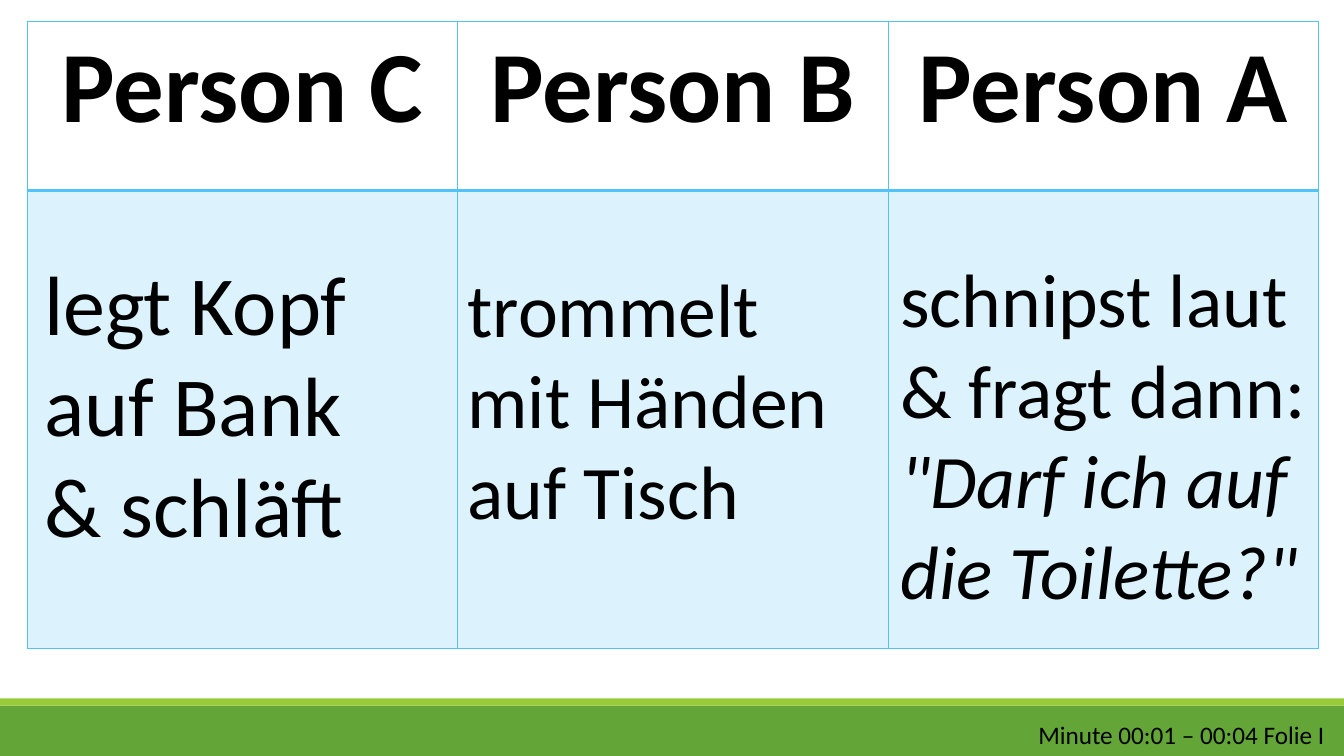
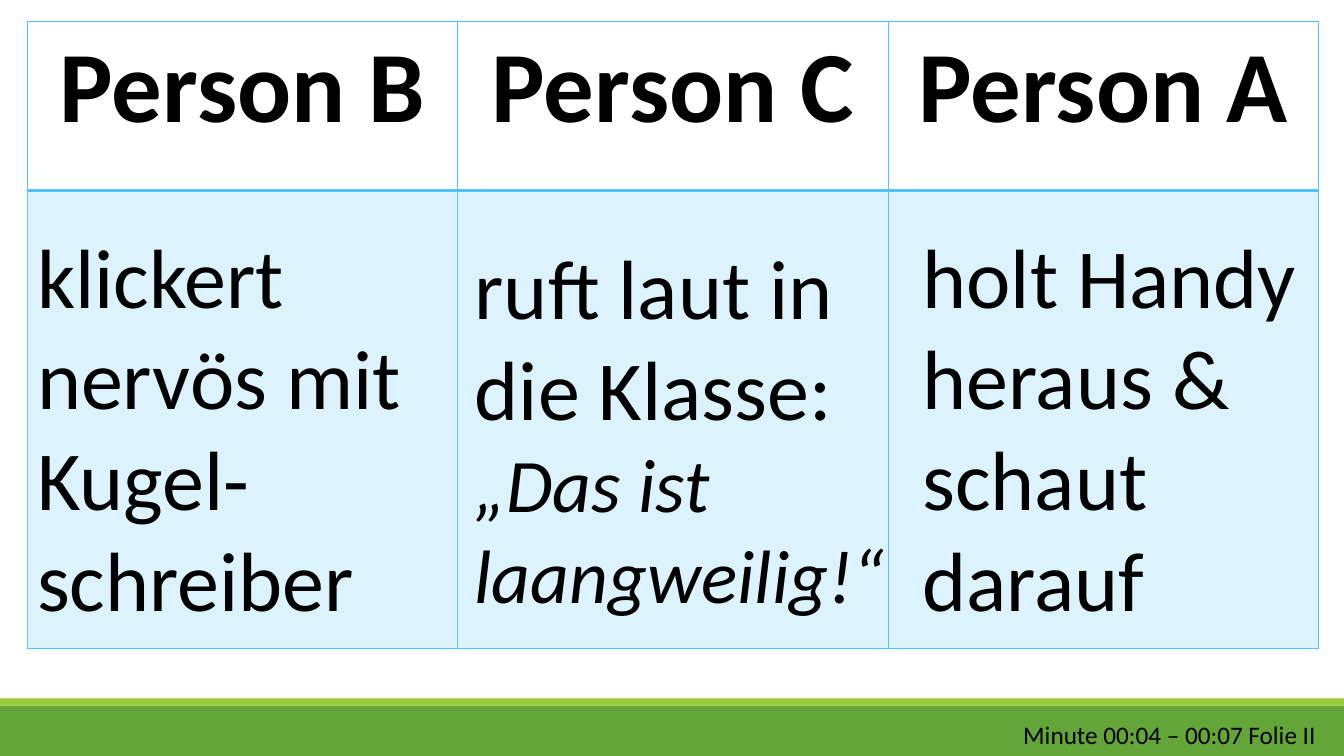
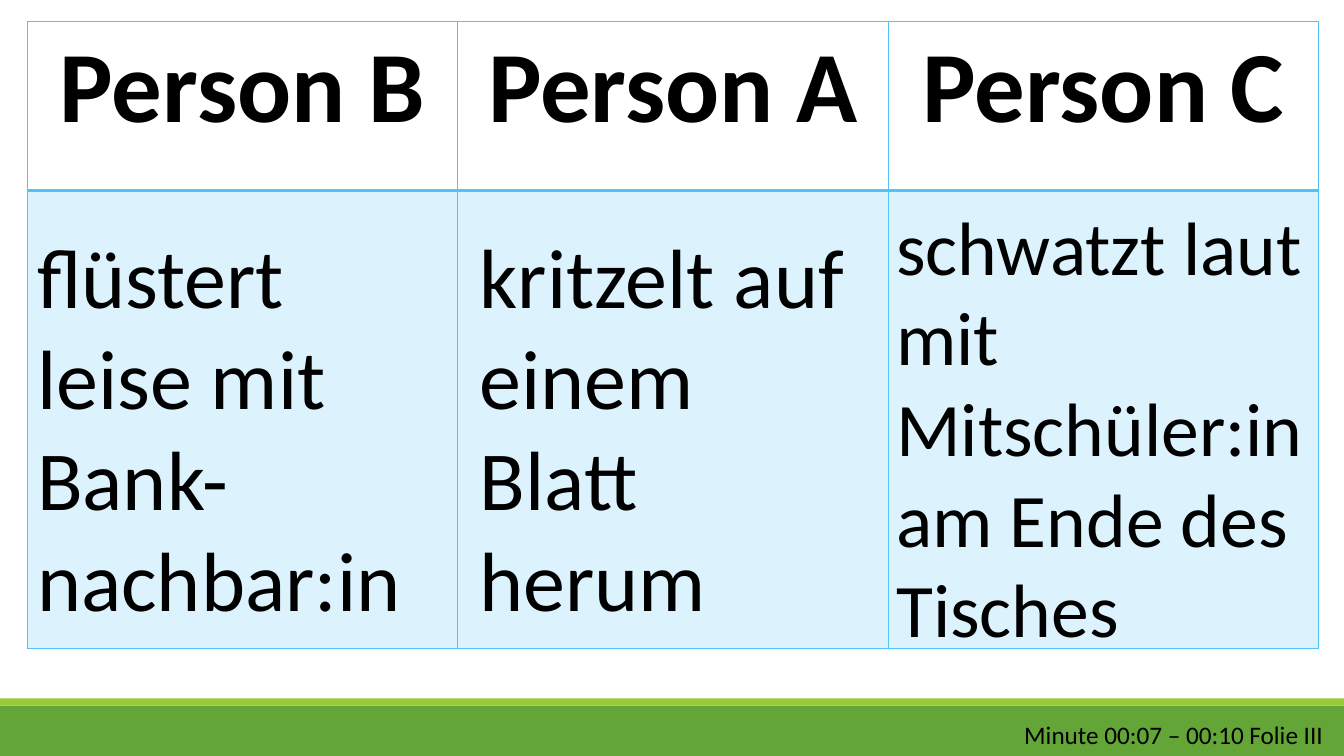
import dataclasses

import lxml.etree
import pptx
import pptx.dml.color
import pptx.enum.shapes
import pptx.enum.text
import pptx.oxml.ns
import pptx.util

Inches = pptx.util.Inches
Pt = pptx.util.Pt
RGB = pptx.dml.color.RGBColor.from_string
qn = pptx.oxml.ns.qn


@dataclasses.dataclass(frozen=True)
class Theme:
    font: str = "Calibri"
    ink: str = "000000"
    green: str = "63A537"
    lime: str = "99CB38"
    blue: str = "51C3F9"
    tint: int = 20
    head: int = 72
    large: int = 60
    small: int = 54
    foot: int = 18


theme = Theme()


def style(para, text, size, bold=False, italic=False):
    para.text = text
    font = para.font
    font.name = theme.font
    font.size = Pt(size)
    font.bold = bold
    font.italic = italic
    font.color.rgb = RGB(theme.ink)


def write(slide, left, top, width, height, lines):
    box = slide.shapes.add_textbox(Inches(left), Inches(top), Inches(width), Inches(height))
    frame = box.text_frame
    frame.word_wrap = True
    frame.auto_size = pptx.enum.text.MSO_AUTO_SIZE.SHAPE_TO_FIT_TEXT
    for i, (text, size, italic) in enumerate(lines):
        para = frame.add_paragraph() if i else frame.paragraphs[0]
        style(para, text, size, italic=italic)


large, small = theme.large, theme.small
pages = [
    ("CBA", "Minute 00:01 – 00:04 Folie I", 3.07, [
        (0.34, 2.45, 4.26, 3.13, [("legt Kopf auf Bank", large, False), ("& schläft", large, False)]),
        (4.54, 2.55, 4.26, 2.83, [("trommelt mit Händen auf Tisch", small, False)]),
        (8.83, 2.45, 4.22, 3.74, [("schnipst laut & fragt dann:", small, False),
                                  ('"Darf ich auf die Toilette?"', small, True)]),
    ]),
    ("BCA", "Minute 00:04 – 00:07 Folie II", 3.22, [
        (0.27, 2.18, 4.43, 4.14, [("klickert nervös mit Kugel-schreiber", large, False)]),
        (4.61, 2.29, 4.76, 3.94, [("ruft laut in die Klasse:", large, False),
                                  ("„Das ist laangweilig!“", small, True)]),
        (9.05, 2.18, 3.93, 4.14, [("holt Handy heraus & schaut darauf", large, False)]),
    ]),
    ("BAC", "Minute 00:07 – 00:10 Folie III", 3.21, [
        (0.27, 2.18, 4.2, 4.14, [("flüstert leise mit Bank-nachbar:in", large, False)]),
        (4.66, 2.18, 3.93, 4.14, [("kritzelt auf einem Blatt herum", large, False)]),
        (8.79, 1.93, 4.28, 4.64, [("schwatzt laut mit Mitschüler:in am Ende des Tisches", small, False)]),
    ]),
]

deck = pptx.Presentation()
deck.slide_width = Inches(13.33)
deck.slide_height = Inches(7.5)
layout = deck.slide_layouts[6]
slides = [deck.slides.add_slide(layout) for page in pages]

for top, height, color in [(7, 0.5, theme.green), (6.93, 0.07, theme.lime)]:
    band = slides[0].shapes.add_shape(
        pptx.enum.shapes.MSO_SHAPE.RECTANGLE, 0, Inches(top), deck.slide_width, Inches(height))
    band.shadow.inherit = False
    band.fill.solid()
    band.fill.fore_color.rgb = RGB(color)
    band.line.fill.background()
    layout.shapes.element.append(band.element)

for slide, (people, time, width, notes) in zip(slides, pages):
    table = slide.shapes.add_table(
        2, 3, Inches(0.27), Inches(0.21), Inches(12.8), Inches(6.22)).table
    for col in table.columns:
        col.width = Inches(4.27)
    for row, height in zip(table.rows, (1.68, 4.54)):
        row.height = Inches(height)

    for r, row in enumerate(table.rows):
        for c, cell in enumerate(row.cells):
            props = cell._tc.get_or_add_tcPr()
            for side in "LRTB":
                thick = side == "TB"[1 - r]
                line = lxml.etree.SubElement(props, qn("a:ln" + side), w=str(Pt(2 if thick else 1)))
                fill = lxml.etree.SubElement(line, qn("a:solidFill"))
                lxml.etree.SubElement(fill, qn("a:srgbClr"), val=theme.blue)
            if r == 0:
                cell.fill.background()
                para = cell.text_frame.paragraphs[0]
                para.alignment = pptx.enum.text.PP_ALIGN.CENTER
                style(para, "Person " + people[c], theme.head, bold=True)
            else:
                cell.fill.solid()
                cell.fill.fore_color.rgb = RGB(theme.blue)
                color = props.find(qn("a:solidFill")).find(qn("a:srgbClr"))
                lxml.etree.SubElement(color, qn("a:alpha"), val=str(theme.tint * 1000))

    for note in notes:
        write(slide, *note)
    write(slide, 13.27 - width, 7.09, width, 0.4, [(time, theme.foot, False)])

deck.save("out.pptx")
